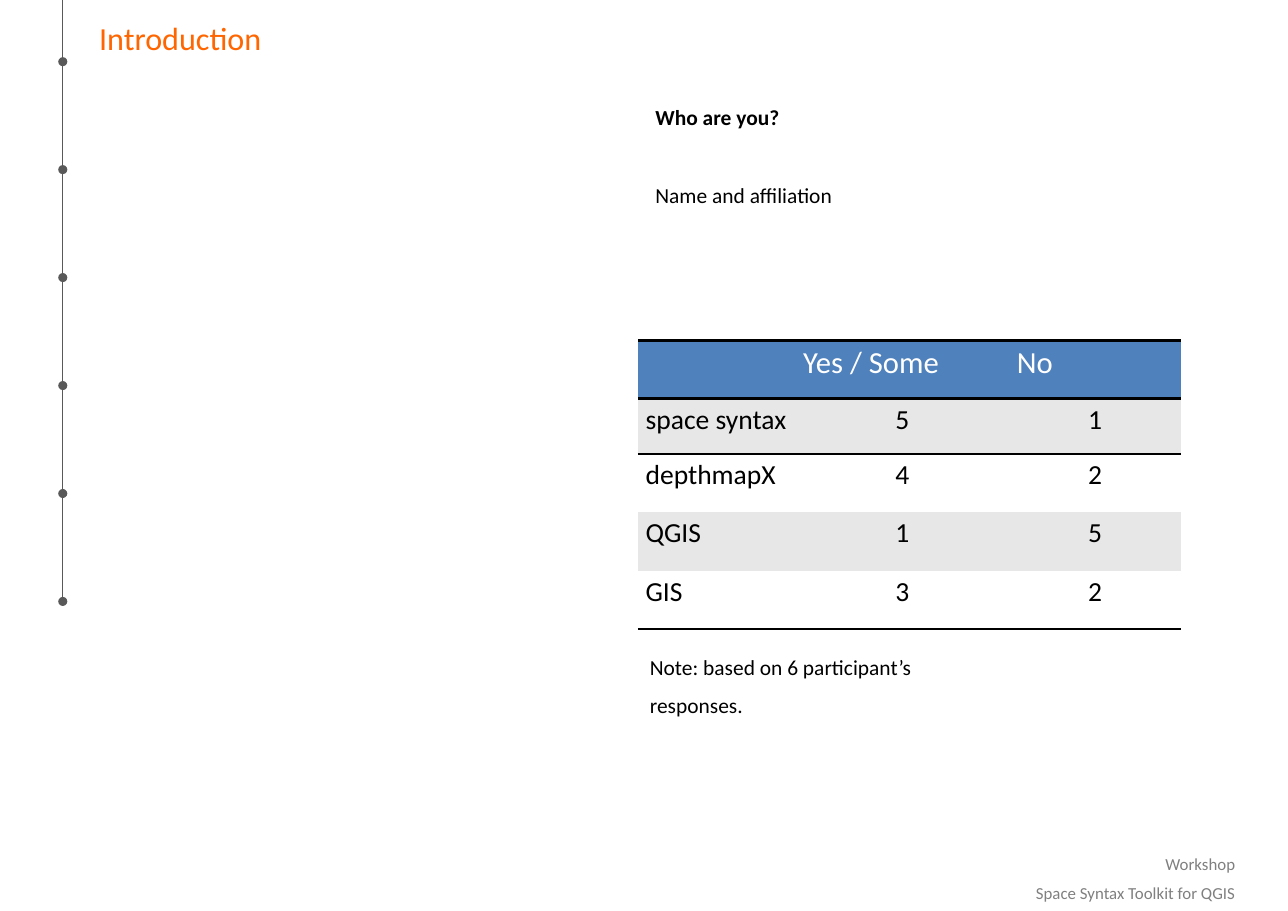
from lxml.etree import SubElement
from pptx import Presentation
from pptx.dml.color import RGBColor
from pptx.enum.shapes import MSO_CONNECTOR
from pptx.enum.text import MSO_ANCHOR, MSO_AUTO_SIZE, PP_ALIGN
from pptx.oxml import parse_xml
from pptx.oxml.ns import nsdecls, qn
from pptx.util import Inches, Pt

COLOURS = {
    "title": "FF6600", "text": "000000", "footer": "808080", "timeline": "595959",
    "header": "4F81BD", "header_text": "FFFFFF", "band": "E7E7E7", "plain": "FFFFFF",
}
NO_TABLE_STYLE = "{2D5ABB26-0587-4C30-8999-92F81FD0307C}"
RESPONSES = [
    ("", "Yes / Some", "No"),
    ("space syntax", "5", "1"),
    ("depthmapX", "4", "2"),
    ("QGIS", "1", "5"),
    ("GIS", "3", "2"),
]


def colour(name):
    return RGBColor.from_string(COLOURS[name])


class SlideBuilder:
    font = "Calibri"

    def __init__(self, page):
        self.page = page

    def style(self, paragraph, size, colour_name, bold=False, align=PP_ALIGN.LEFT):
        paragraph.alignment = align
        paragraph.font.name = self.font
        paragraph.font.size = Pt(size)
        paragraph.font.bold = bold
        paragraph.font.color.rgb = colour(colour_name)

    def title(self, text, left, top, width, height):
        title = self.page.shapes.title
        title.left, title.top = Inches(left), Inches(top)
        title.width, title.height = Inches(width), Inches(height)
        frame = title.text_frame
        frame.text = text
        frame.auto_size = MSO_AUTO_SIZE.NONE
        frame.vertical_anchor = MSO_ANCHOR.TOP
        self.style(frame.paragraphs[0], 21, "title")

    def text(self, lines, left, top, width, height, size=14, colour_name="text",
             align=PP_ALIGN.LEFT, spacing=1.5, gap=0, bold_first=False, wrap=True):
        """Write one paragraph per line, with a gap in points between them."""
        box = self.page.shapes.add_textbox(
            Inches(left), Inches(top), Inches(width), Inches(height))
        frame = box.text_frame
        frame.word_wrap = wrap
        for index, line in enumerate(lines):
            paragraph = frame.add_paragraph() if index else frame.paragraphs[0]
            paragraph.text = line
            paragraph.line_spacing = spacing
            if index:
                paragraph.space_before = Pt(gap)
            self.style(paragraph, size, colour_name, bold_first and index == 0, align)

    def dotted_line(self, x, top, bottom):
        """Draw a vertical line that ends in a dot."""
        line = self.page.shapes.add_connector(
            MSO_CONNECTOR.STRAIGHT, Inches(x), Inches(top), Inches(x), Inches(bottom))
        line.line.color.rgb = colour("timeline")
        line.line.width = Pt(0.75)
        SubElement(line.line._get_or_add_ln(), qn("a:tailEnd"), type="oval")
        SubElement(line._element.spPr, qn("a:effectLst"))

    def border(self, cell, side):
        """Rule the top (T) or bottom (B) of a cell; call before filling it."""
        cell._tc.get_or_add_tcPr().append(parse_xml(
            f'<a:ln{side} {nsdecls("a")} w="{Pt(2)}"><a:solidFill>'
            f'<a:srgbClr val="{COLOURS["text"]}"/></a:solidFill></a:ln{side}>'))

    def table(self, rows, left, top, widths, heights):
        table = self.page.shapes.add_table(
            len(rows), len(widths), Inches(left), Inches(top),
            Inches(sum(widths)), Inches(sum(heights))).table
        table.first_row = table.horz_banding = False
        table._tbl.tblPr.find(qn("a:tableStyleId")).text = NO_TABLE_STYLE
        for column, width in zip(table.columns, widths):
            column.width = Inches(width)
        for row, height in zip(table.rows, heights):
            row.height = Inches(height)
        for r, values in enumerate(rows):
            for c, value in enumerate(values):
                self.cell(table.cell(r, c), value, r, c, r == len(rows) - 1)

    def cell(self, cell, value, row, column, last):
        cell.margin_left = cell.margin_right = Inches(0.07)
        cell.margin_top = cell.margin_bottom = Inches(0.04)
        if row < 2:
            self.border(cell, "T")
        if row == 0 or last:
            self.border(cell, "B")
        cell.fill.solid()
        fill = "header" if row == 0 else "band" if row % 2 else "plain"
        cell.fill.fore_color.rgb = colour(fill)
        cell.text = value
        paragraph = cell.text_frame.paragraphs[0]
        if row == 0:
            self.style(paragraph, 20, "header_text")
        else:
            align = PP_ALIGN.CENTER if column else PP_ALIGN.LEFT
            self.style(paragraph, 18, "text", align=align)


def main():
    deck = Presentation()
    deck.slide_width, deck.slide_height = Inches(11.69), Inches(8.27)
    slide = SlideBuilder(deck.slides.add_slide(deck.slide_layouts[5]))

    slide.text(["Workshop", "Space Syntax Toolkit for QGIS"], 6.43, 7.7, 4.88, 0.56,
               size=11, colour_name="footer", align=PP_ALIGN.RIGHT, spacing=1, gap=5.5)
    for step in range(6):
        bottom = 0.56 + 0.98 * step
        slide.dotted_line(0.57, max(0, bottom - 0.97), bottom)
    slide.title("Introduction", 0.8, 0.12, 7.03, 0.45)
    slide.text(["Who are you?", "Name and affiliation"], 5.85, 0.78, 5.78, 1.14,
               gap=25.5, bold_first=True)
    slide.table(RESPONSES, 5.79, 3.09, [1.43, 1.94, 1.56], [0.53, 0.5, 0.53, 0.53, 0.53])
    slide.text(["Note: based on 6 participant’s responses."], 5.8, 5.77, 3.46, 0.43,
               wrap=False)
    deck.save("out.pptx")


if __name__ == "__main__":
    main()
